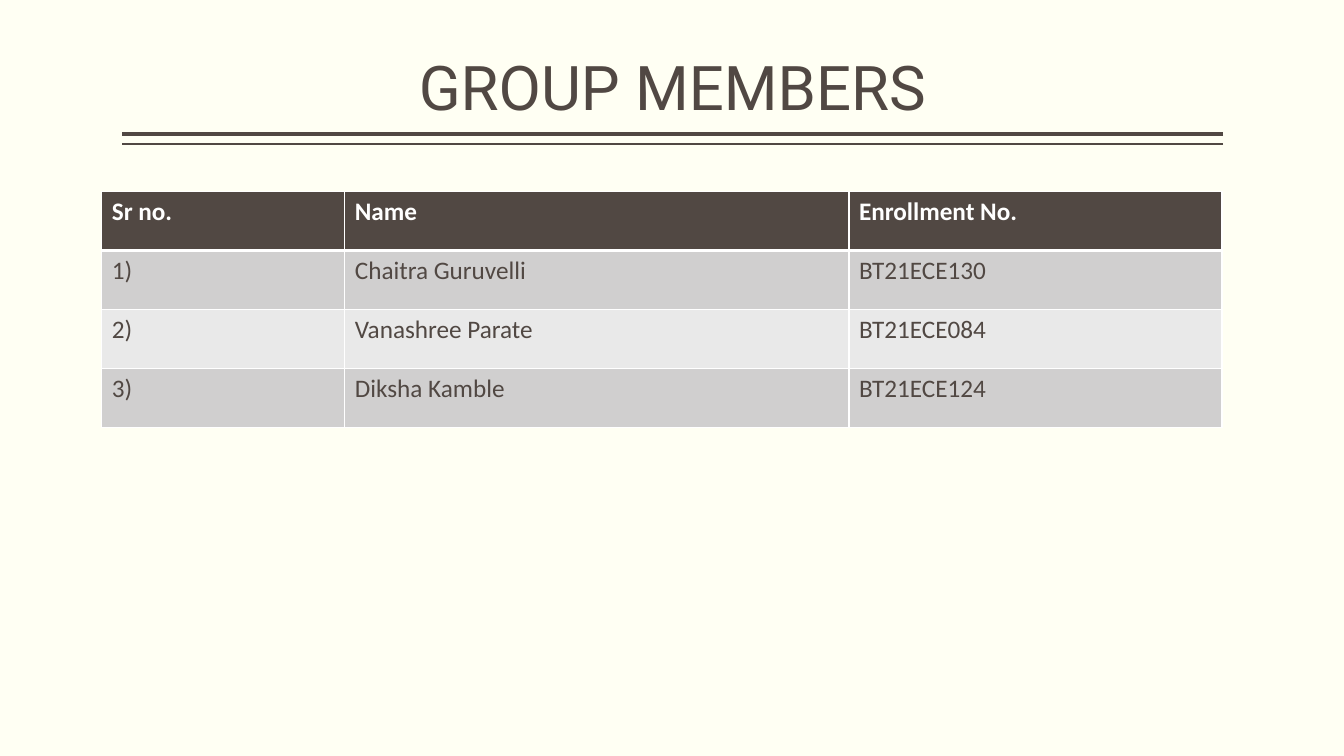
"""Build the group members slide: a ruled title above a table of names."""
from lxml.etree import SubElement
from pptx import Presentation
from pptx.dml.color import RGBColor
from pptx.enum.shapes import MSO_CONNECTOR as Connector
from pptx.enum.text import MSO_ANCHOR as Anchor, PP_ALIGN as Align
from pptx.oxml.ns import qn
from pptx.util import Inches, Pt

COLORS = {"background": "FFFFF3", "dark": "514843", "white": "FFFFFF",
          "odd": "D0CFCF", "even": "E9E9E9"}
MEMBERS = [
    ("Sr no.", "Name", "Enrollment No."),
    ("1)", "Chaitra Guruvelli", "BT21ECE130"),
    ("2)", "Vanashree Parate", "BT21ECE084"),
    ("3)", "Diksha Kamble", "BT21ECE124"),
]
COLUMN_WIDTHS = [2.41, 5, 3.7]
ROW_HEIGHT = 0.585
MARGIN, RULE_WIDTH = 1.21, 10.92


def style_font(font, color, **values):
    for name, value in values.items():
        setattr(font, name, value)
    font.color.rgb = RGBColor.from_string(COLORS[color])


def add_border(cell, position, side, points):
    properties = cell._tc.get_or_add_tcPr()
    line = SubElement(properties, qn(f"a:ln{side}"), w=str(Pt(points)))
    fill = SubElement(line, qn("a:solidFill"))
    SubElement(fill, qn("a:srgbClr"), val=COLORS["white"])
    properties.insert(position, line)


presentation = Presentation()
presentation.slide_width = Inches(13.33)
presentation.slide_height = Inches(7.5)
slide = presentation.slides.add_slide(presentation.slide_layouts[6])
slide.background.fill.solid()
slide.background.fill.fore_color.rgb = RGBColor.from_string(COLORS["background"])

for height, points in ((1.33, 3), (1.43, 1)):
    rule = slide.shapes.add_connector(
        Connector.STRAIGHT, Inches(MARGIN + RULE_WIDTH), Inches(height),
        Inches(MARGIN), Inches(height))
    rule.line.width = Pt(points)
    rule.line.color.rgb = RGBColor.from_string(COLORS["dark"])
    SubElement(rule._element.spPr, qn("a:effectLst"))

title = slide.shapes.add_textbox(
    Inches(MARGIN), Inches(0.08), Inches(RULE_WIDTH), Inches(1.2))
title_format = {"word_wrap": True, "vertical_anchor": Anchor.BOTTOM,
                "margin_left": 0, "margin_right": 0}
for name, value in title_format.items():
    setattr(title.text_frame, name, value)
paragraph = title.text_frame.paragraphs[0]
paragraph.alignment = Align.CENTER
paragraph.line_spacing = 0.9
run = paragraph.add_run()
run.text = "GROUP MEMBERS"
style_font(run.font, "dark", name="Roboto", size=Pt(44))

table = slide.shapes.add_table(
    len(MEMBERS), len(COLUMN_WIDTHS), Inches(1.01), Inches(1.9),
    Inches(sum(COLUMN_WIDTHS)), Inches(ROW_HEIGHT * len(MEMBERS))).table
for column, width in zip(table.columns, COLUMN_WIDTHS):
    column.width = Inches(width)

for row, member in enumerate(MEMBERS):
    is_header = row == 0
    fill_color = "dark" if is_header else "odd" if row % 2 else "even"
    borders = {"L": 1, "R": 1, "T": 3 if row == 1 else 1, "B": 3 if is_header else 1}
    for column, text in enumerate(member):
        cell = table.cell(row, column)
        cell.fill.solid()
        cell.fill.fore_color.rgb = RGBColor.from_string(COLORS[fill_color])
        for position, (side, points) in enumerate(borders.items()):
            add_border(cell, position, side, points)
        run = cell.text_frame.paragraphs[0].add_run()
        run.text = text
        style_font(run.font, "white" if is_header else "dark",
                   name="Calibri", size=Pt(18), bold=is_header)

presentation.save("out.pptx")
